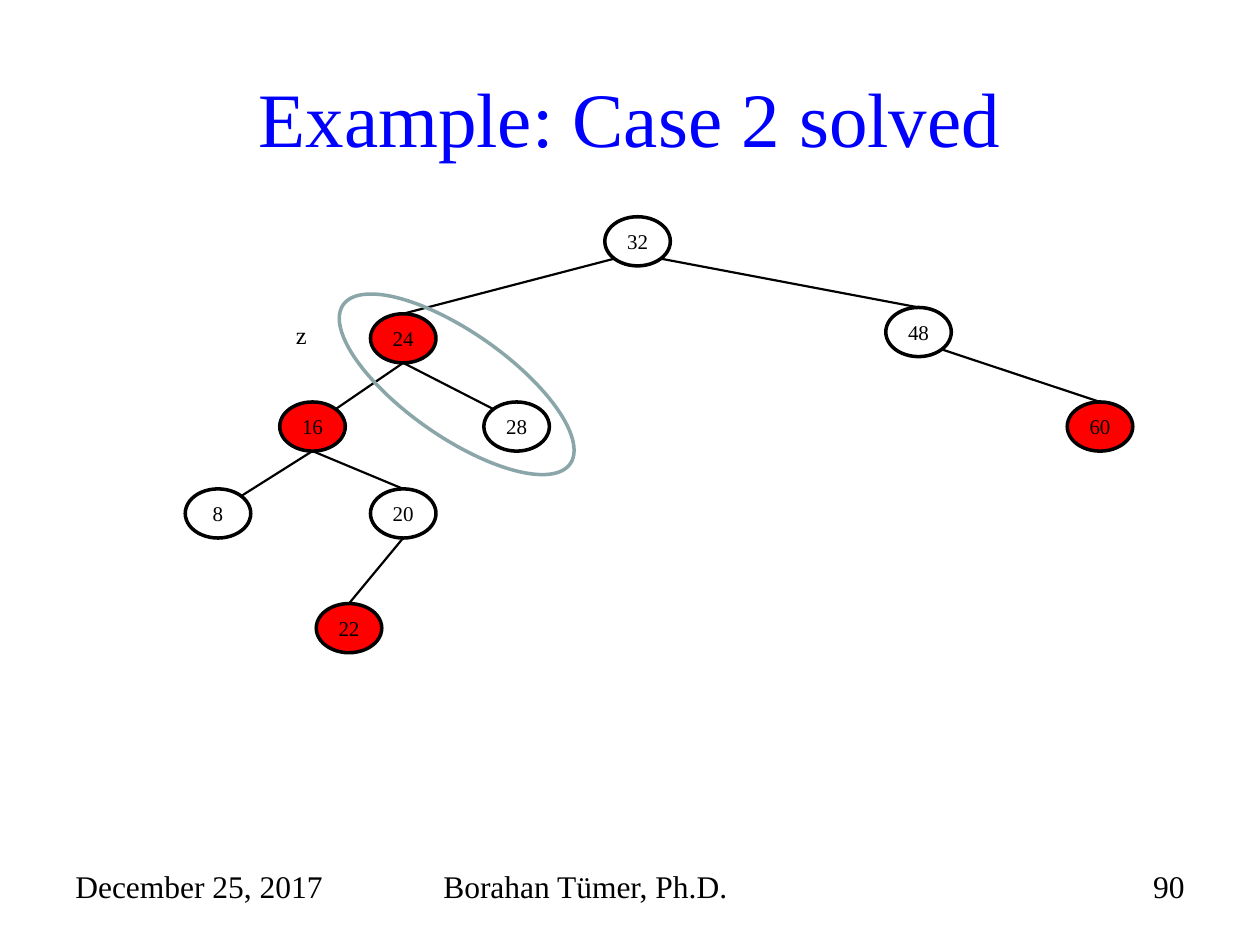
from dataclasses import dataclass

import pptx
import pptx.dml.color
import pptx.enum.shapes
import pptx.enum.text
import pptx.util
from lxml import etree

COLORS = {"title": "0000FF", "ink": "000000", "red": "FF0000", "ring": "8AA6A8"}
FONT = "Times New Roman"
COLS, ROWS = 100, 75
NODE_W, NODE_H = 5.2, 3.9
DIAGONAL = 0.5 ** 0.5
SITES = {
    "top": (0, -1),
    "bottom": (0, 1),
    "top left": (-DIAGONAL, -DIAGONAL),
    "top right": (DIAGONAL, -DIAGONAL),
    "bottom left": (-DIAGONAL, DIAGONAL),
    "bottom right": (DIAGONAL, DIAGONAL),
}
ALIGN = pptx.enum.text.PP_ALIGN
ANCHOR = pptx.enum.text.MSO_ANCHOR
OVAL = pptx.enum.shapes.MSO_SHAPE.OVAL

prs = pptx.Presentation()
prs.slide_width = pptx.util.Inches(10)
prs.slide_height = pptx.util.Inches(7.5)
s = prs.slides.add_slide(prs.slide_layouts[5])


@dataclass(frozen=True)
class Node:
    key: int
    col: float
    row: float
    red: bool = False

    def site(self, name: str) -> tuple[float, float]:
        dx, dy = SITES[name]
        return self.col + (1 + dx) * NODE_W / 2, self.row + (1 + dy) * NODE_H / 2


@dataclass(frozen=True)
class Edge:
    parent: int
    start: str
    child: int
    end: str = "top"


@dataclass(frozen=True)
class Label:
    text: str
    col: float
    row: float
    width: float
    height: float
    size: float = 18
    align: ALIGN = ALIGN.LEFT


NODES = [
    Node(32, 48, 17.2),
    Node(48, 70.3, 24.4),
    Node(24, 29.4, 24.9, red=True),
    Node(16, 22.2, 31.9, red=True),
    Node(28, 38.4, 31.9),
    Node(60, 84.7, 31.9, red=True),
    Node(20, 29.4, 38.8),
    Node(22, 25.1, 47.9, red=True),
    Node(8, 14.7, 38.8),
]
EDGES = [
    Edge(32, "bottom left", 24),
    Edge(32, "bottom right", 48),
    Edge(24, "bottom", 16, "top right"),
    Edge(24, "bottom", 28, "top left"),
    Edge(48, "bottom right", 60),
    Edge(16, "bottom", 20),
    Edge(16, "bottom", 8, "top right"),
    Edge(20, "bottom", 22),
]
LABELS = [
    Label("December 25, 2017", 5, 68.3, 23.3, 5.2),
    Label("Borahan Tümer, Ph.D.", 34.2, 68.3, 31.7, 5.2),
    Label("90", 71.7, 68.3, 23.3, 5.2, align=ALIGN.RIGHT),
    Label("z", 22.5, 24.9, 5.2, 3.4, size=14),
]


def grid(*lengths: float) -> list[int]:
    units = (prs.slide_width / COLS, prs.slide_height / ROWS)
    return [round(n * units[i % 2]) for i, n in enumerate(lengths)]


def rgb(name: str) -> pptx.dml.color.RGBColor:
    return pptx.dml.color.RGBColor.from_string(COLORS[name])


def write(sp, text: str, *, size: float, color: str = "ink", align=ALIGN.CENTER,
          anchor=ANCHOR.MIDDLE, wrap: bool = True) -> None:
    tf = sp.text_frame
    tf.word_wrap = wrap
    tf.vertical_anchor = anchor
    p = tf.paragraphs[0]
    p.alignment = align
    r = p.add_run()
    r.text = text
    r.font.name = FONT
    r.font.size = pptx.util.Pt(size)
    r.font.color.rgb = rgb(color)


def add_oval(col: float, row: float, width: float, height: float, line: str):
    sp = s.shapes.add_shape(OVAL, *grid(col, row, width, height))
    sp.shadow.inherit = False
    sp.fill.background()
    sp.line.color.rgb = rgb(line)
    sp.line.width = pptx.util.Pt(2)
    return sp


def add_node(node: Node) -> None:
    sp = add_oval(node.col, node.row, NODE_W, NODE_H, "ink")
    if node.red:
        sp.fill.solid()
        sp.fill.fore_color.rgb = rgb("red")
    write(sp, str(node.key), size=12, wrap=False)


def add_edge(edge: Edge, nodes: dict[int, Node]) -> None:
    ends = nodes[edge.parent].site(edge.start) + nodes[edge.child].site(edge.end)
    sp = s.shapes.add_connector(pptx.enum.shapes.MSO_CONNECTOR.STRAIGHT, *grid(*ends))
    sp.line.color.rgb = rgb("ink")
    sp.line.width = pptx.util.Pt(1.25)
    etree.SubElement(sp._element.spPr, pptx.oxml.ns.qn("a:effectLst"))


def add_label(label: Label) -> None:
    sp = s.shapes.add_textbox(*grid(label.col, label.row, label.width, label.height))
    write(sp, label.text, size=label.size, align=label.align, anchor=ANCHOR.TOP)


def main() -> None:
    title = s.shapes.title
    title.left, title.top, title.width, title.height = grid(5, 3, 90, 12.5)
    write(title, "Example: Case 2 solved", size=44, color="title")
    nodes = {node.key: node for node in NODES}
    for edge in EDGES:
        add_edge(edge, nodes)
    for node in NODES:
        add_node(node)
    for label in LABELS:
        add_label(label)
    ring = add_oval(32.1, 19.5, 8.3, 22, "ring")
    ring.rotation = 305
    prs.save("out.pptx")


if __name__ == "__main__":
    main()
